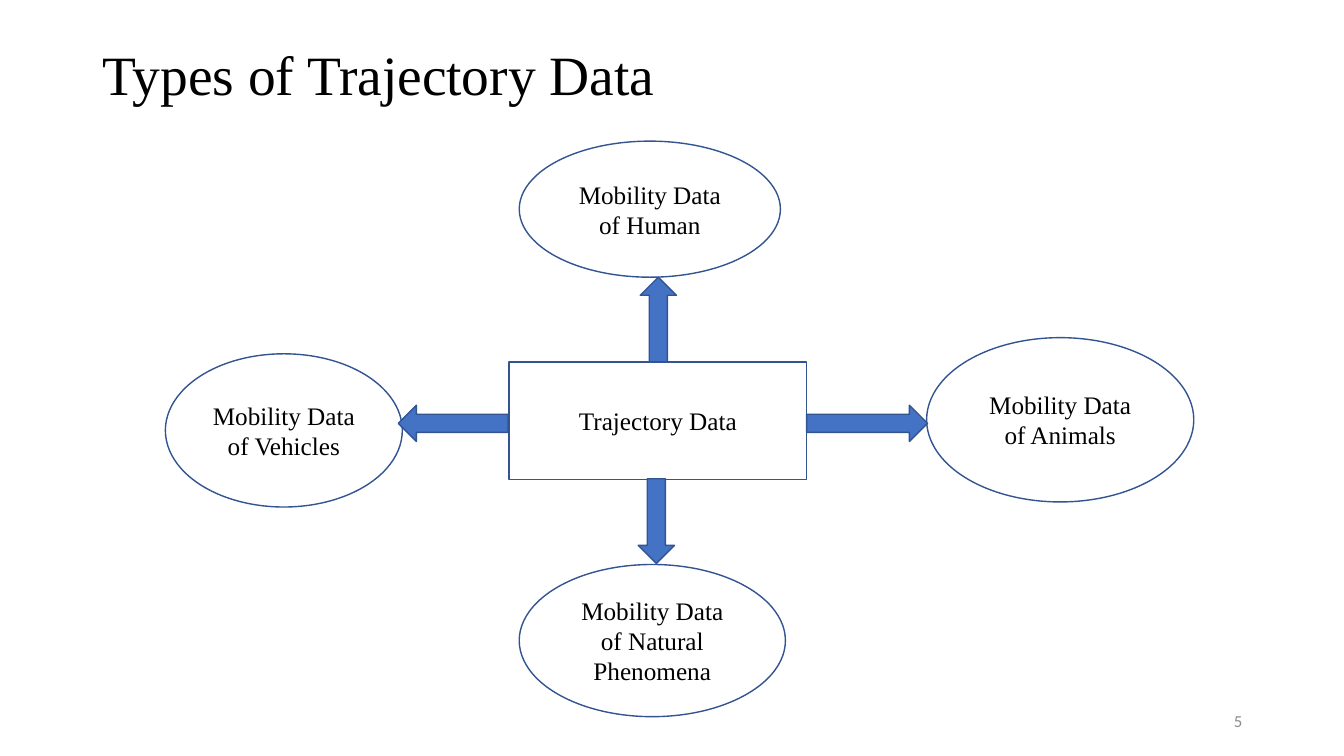
from pptx import Presentation
from pptx.dml.color import RGBColor
from pptx.enum.shapes import MSO_SHAPE as Shape
from pptx.enum.text import MSO_ANCHOR as Anchor, PP_ALIGN as Align
from pptx.util import Inches, Pt

SERIF = "Times New Roman"
BLACK, OUTLINE, BLUE, GRAY = "000000", "325491", "4472C4", "8C8C8C"


def color(hex_code):
    return RGBColor.from_string(hex_code)


def write(sp, text, size, align, font=SERIF, ink=BLACK):
    """Put one vertically centred paragraph in a shape and return it."""
    tf = sp.text_frame
    tf.text = text
    tf.word_wrap = True
    tf.vertical_anchor = Anchor.MIDDLE
    p = tf.paragraphs[0]
    p.alignment = align
    f = p.runs[0].font
    f.size, f.name = Pt(size), font
    f.color.rgb = color(ink)
    return p


def add_text(slide, box, text, *style):
    sp = slide.shapes.add_textbox(*map(Inches, box))
    return write(sp, text, *style)


def add_outlined(slide, kind, box, fill=None):
    sp = slide.shapes.add_shape(kind, *map(Inches, box))
    sp.shadow.inherit = False
    if fill:
        sp.fill.solid()
        sp.fill.fore_color.rgb = color(fill)
    else:
        sp.fill.background()
    sp.line.color.rgb = color(OUTLINE)
    sp.line.width = Pt(1)
    return sp


def add_node(slide, kind, box, text):
    write(add_outlined(slide, kind, box), text, 18, Align.CENTER)


def add_diagram(slide, left, top):
    """Central box with an arrow to each data type, offset from its corner."""
    nodes = [
        (Shape.OVAL, (3.51, 0, 2.59, 1.35), "Mobility Data of Human"),
        (Shape.OVAL, (0, 2.11, 2.35, 1.52), "Mobility Data of Vehicles"),
        (Shape.OVAL, (3.51, 4.2, 2.64, 1.51), "Mobility Data of Natural Phenomena"),
        (Shape.OVAL, (7.55, 1.95, 2.65, 1.63), "Mobility Data of Animals"),
        (Shape.RECTANGLE, (3.41, 2.19, 2.95, 1.17), "Trajectory Data"),
    ]
    arrows = [
        (Shape.DOWN_ARROW, (4.69, 3.35, 0.36, 0.84)),
        (Shape.RIGHT_ARROW, (6.36, 2.62, 1.2, 0.36)),
        (Shape.UP_ARROW, (4.71, 1.35, 0.36, 0.84)),
        (Shape.LEFT_ARROW, (2.31, 2.62, 1.09, 0.36)),
    ]

    def place(x, y, w, h):
        return left + x, top + y, w, h

    for kind, box, text in nodes:
        add_node(slide, kind, place(*box), text)
    for kind, box in arrows:
        add_outlined(slide, kind, place(*box), BLUE)


def main():
    prs = Presentation()
    prs.slide_width, prs.slide_height = Inches(13.33), Inches(7.5)
    slide = prs.slides.add_slide(prs.slide_layouts[6])
    add_diagram(slide, 1.64, 1.4)
    title = add_text(slide, (0.92, 0.4, 11.5, 0.74),
                     "Types of Trajectory Data", 39.6, Align.LEFT)
    title.line_spacing = 0.9
    add_text(slide, (9.42, 6.95, 3, 0.4), "5", 12, Align.RIGHT, "Calibri", GRAY)
    prs.save("out.pptx")


if __name__ == "__main__":
    main()
